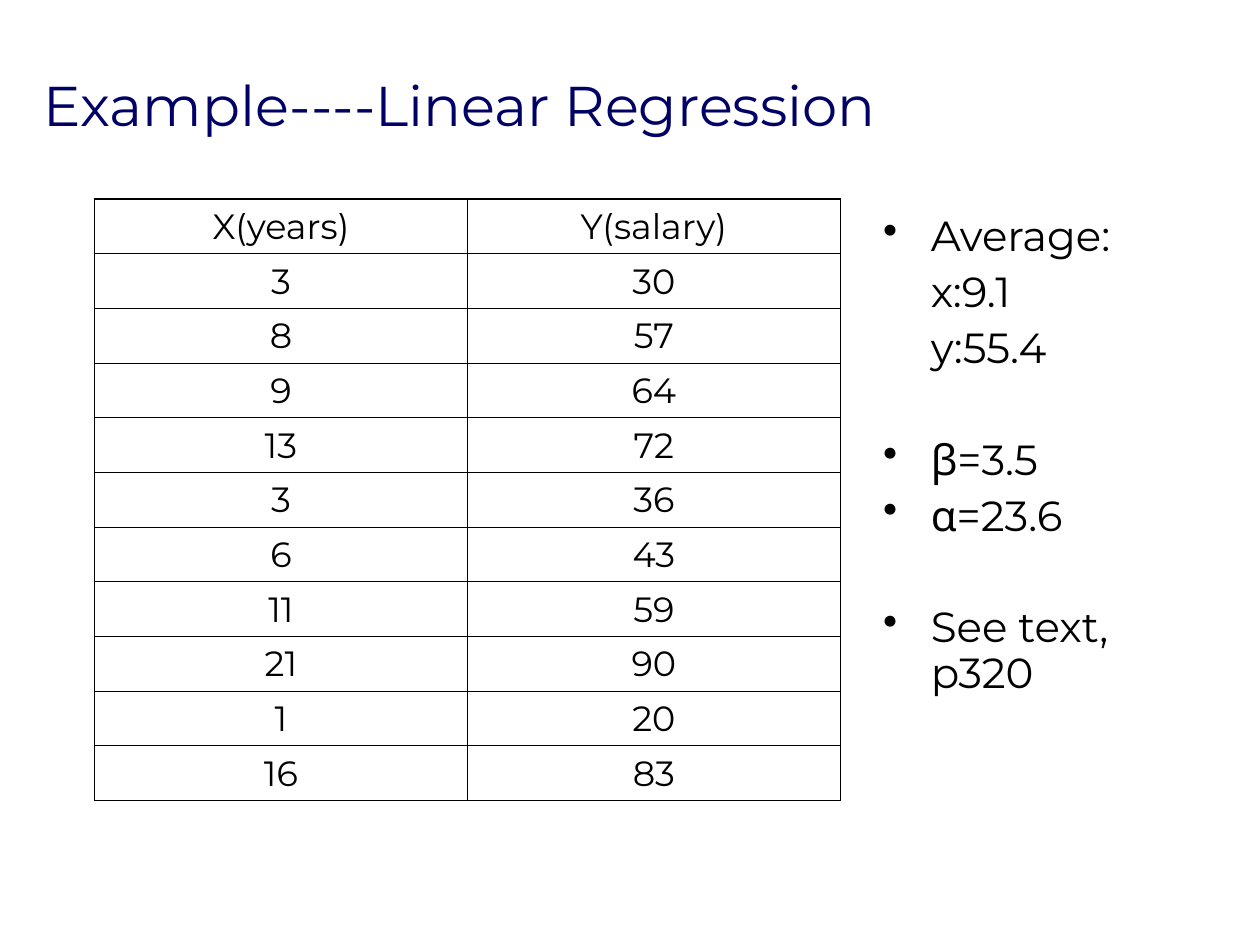
from lxml import etree
from pptx import Presentation
from pptx import util as u
from pptx.dml import color
from pptx.enum import text
from pptx.oxml import ns

FONT = "Montserrat"
BLACK = "000000"
NAVY = "000066"
OUTER, INNER = 1.08, 0.45

TITLE = "Example----Linear Regression"
ROWS = [
    ("X(years)", "Y(salary)"),
    (3, 30), (8, 57), (9, 64), (13, 72), (3, 36),
    (6, 43), (11, 59), (21, 90), (1, 20), (16, 83),
]
NOTES = [
    ("Average:", True, 0),
    ("x:9.1", False, 6),
    ("y:55.4", False, 6),
    ("β=3.5", True, 38),
    ("α=23.6", True, 6),
    ("See text, p320", True, 38),
]


def rgb(value):
    return color.RGBColor.from_string(value)


def apply(target, values):
    for name, value in values.items():
        setattr(target, name, value)


def add_span(para, content, size, shade=BLACK):
    span = para.add_run()
    span.text = str(content)
    apply(span.font, {"name": FONT, "size": u.Pt(size)})
    span.font.color.rgb = rgb(shade)


def add_child(parent, tag, **attributes):
    return etree.SubElement(parent, ns.qn(tag), attributes)


def add_box(page, left, top, width, height, **frame_format):
    box = page.shapes.add_textbox(*map(u.Inches, (left, top, width, height)))
    apply(box.text_frame, {"word_wrap": True, **frame_format})
    return box.text_frame


def add_title(page):
    frame = add_box(page, 0.25, 0.53, 9.42, 0.58,
                    vertical_anchor=text.MSO_ANCHOR.BOTTOM,
                    margin_top=u.Inches(0.02), margin_bottom=u.Inches(0.02))
    add_span(frame.paragraphs[0], TITLE, 32, NAVY)


def set_indent(para, bulleted):
    properties = para._p.get_or_add_pPr()
    hanging = u.Inches(0.38)
    properties.set("marL", str(hanging))
    properties.set("indent", str(-hanging if bulleted else 0))
    if bulleted:
        shade = add_child(properties, "a:buClr")
        add_child(shade, "a:srgbClr", val=BLACK)
        add_child(properties, "a:buChar", char="•")


def add_notes(page):
    frame = add_box(page, 6.91, 1.66, 2.58, 5.17)
    for index, (content, bulleted, gap) in enumerate(NOTES):
        para = frame.add_paragraph() if index else frame.paragraphs[0]
        set_indent(para, bulleted)
        apply(para, {"line_spacing": 0.9, "space_before": u.Pt(gap)})
        add_span(para, content, 24)


def set_borders(cell, widths):
    properties = cell._tc.get_or_add_tcPr()
    for side, width in widths.items():
        line = add_child(properties, f"a:ln{side}", w=str(u.Pt(width)))
        fill = add_child(line, "a:solidFill")
        add_child(fill, "a:srgbClr", val=BLACK)


def add_data_table(page):
    row_count, column_count = len(ROWS), len(ROWS[0])
    row_height = 0.43
    table = page.shapes.add_table(
        row_count, column_count, u.Inches(0.75), u.Inches(1.58),
        u.Inches(5.92), u.Inches(row_height * row_count)).table
    apply(table, {"first_row": False, "horz_banding": False})
    for row, values in enumerate(ROWS):
        for column, value in enumerate(values):
            cell = table.cell(row, column)
            set_borders(cell, {
                "L": OUTER if column == 0 else INNER,
                "R": OUTER if column == column_count - 1 else INNER,
                "T": OUTER if row == 0 else INNER,
                "B": OUTER if row == row_count - 1 else INNER,
            })
            cell.fill.background()
            para = cell.text_frame.paragraphs[0]
            para.alignment = text.PP_ALIGN.CENTER
            add_span(para, value, 20)


def main():
    deck = Presentation()
    apply(deck, {"slide_width": u.Inches(10), "slide_height": u.Inches(7.5)})
    page = deck.slides.add_slide(deck.slide_layouts[6])
    add_title(page)
    add_notes(page)
    add_data_table(page)
    deck.save("out.pptx")


if __name__ == "__main__":
    main()
